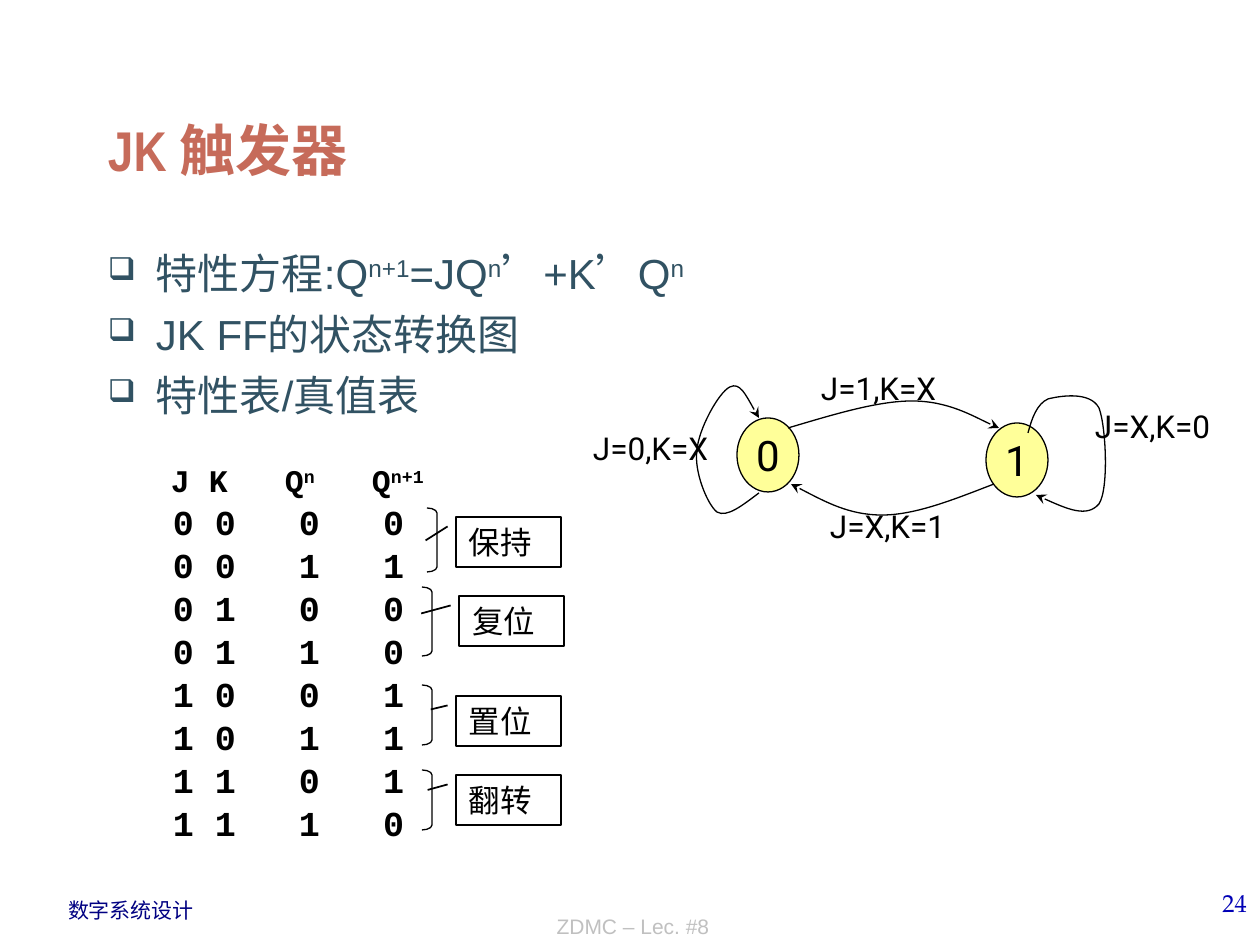
import pptx
import pptx.util
import pptx.dml.color
import pptx.enum.shapes
import pptx.enum.text
import lxml.etree

PX = 914400 / 126
KIND = pptx.enum.shapes.MSO_SHAPE
ALIGN = pptx.enum.text.PP_ALIGN
ANCHOR = pptx.enum.text.MSO_ANCHOR
NS = "http://schemas.openxmlformats.org/drawingml/2006/main"

TITLE = "JK 触发器"
POINTS = [
    [("特性方程:Q", {}), ("n+1", {"sup": True}), ("=JQ", {}), ("n", {"sup": True}),
     ("’", {"name": "Roboto"}), ("+K", {}), ("’", {"name": "Roboto"}),
     ("Q", {}), ("n", {"sup": True})],
    [("JK FF的状态转换图", {})],
    [("特性表/真值表", {})],
]
FOOTS = [
    ("数字系统设计", (55, 892, 170, 38), {"name": "Arial", "size": 12, "color": "000082"}, ALIGN.LEFT, ANCHOR.TOP),
    ("24", (998, 882, 262, 63), {"name": "TeX Gyre Pagella", "size": 14, "color": "0000B6"}, ALIGN.RIGHT, ANCHOR.TOP),
    ("ZDMC – Lec. #8", (326, 881, 614, 64), {"name": "Arial", "size": 12, "color": "C0C0C0"}, ALIGN.CENTER, ANCHOR.BOTTOM),
]
STATES = [("0", 737, 418), ("1", 986, 423)]
ARCS = [
    [(788, 428), (832, 415), (877, 401), (912, 401), (948, 401), (984, 422), (999, 428)],
    [(994, 484), (955, 499), (916, 515), (882, 515), (849, 515), (820, 499), (791, 484)],
    [(759, 493), (743, 505), (727, 518), (717, 512), (707, 504), (694, 471), (697, 451),
     (698, 430), (719, 392), (730, 387), (740, 382), (748, 399), (759, 418)],
    [(1028, 433), (1032, 418), (1037, 404), (1048, 399), (1060, 396), (1090, 391), (1099, 408),
     (1106, 426), (1109, 489), (1099, 504), (1087, 518), (1062, 507), (1036, 495)],
]
LABELS = [("J=1,K=X", 808, 363), ("J=X,K=1", 817, 501), ("J=X,K=0", 1082, 401), ("J=0,K=X", 580, 423)]
HEAD = [("\tJ\tK\tQ", {}), ("n", {"sup": True}), ("\tQ", {}), ("n+1", {"sup": True})]
ROWS = ["0000", "0011", "0100", "0110", "1001", "1011", "1101", "1110"]
HEADTABS, ROWTABS = (19, 57, 133, 220), (21, 63, 147, 231)
MODES = [
    ("保持", (456, 517), (0.19, -0.08, 0.47, -0.29), (427, 508, 64)),
    ("复位", (459, 596), (0.19, -0.08, 0.35, -0.36), (422, 587, 69)),
    ("置位", (456, 696), (0.19, -0.08, 0.27, -0.24), (422, 685, 60)),
    ("翻转", (456, 775), (0.19, -0.08, 0.3, -0.27), (422, 770, 60)),
]
BODY = {"name": "Arial", "size": 24, "color": "315263"}
CODE = {"name": "Courier New", "size": 20, "color": "000000", "bold": True}
NOTE = {"name": "Roboto", "size": 18, "color": "000000"}


def emu(*nums):
    return [round(n * PX) for n in nums]


def rgb(hue):
    return pptx.dml.color.RGBColor.from_string(hue)


def tag(root, name, **vals):
    return lxml.etree.SubElement(root, f"{{{NS}}}{name}", vals)


def write(para, runs, form):
    for text, more in runs:
        run = para.add_run()
        run.text = text
        for key, val in {**form, **more}.items():
            if key == "color":
                run.font.color.rgb = rgb(val)
            elif key == "sup":
                run._r.get_or_add_rPr().set("baseline", "30000")
            else:
                setattr(run.font, key, pptx.util.Pt(val) if key == "size" else val)


def frame(shape, pad=(13, 6), **vals):
    text = shape.text_frame
    side, top = emu(*pad)
    form = {"margin_left": side, "margin_right": side, "margin_top": top, "margin_bottom": top,
            "word_wrap": True, "vertical_anchor": ANCHOR.TOP, **vals}
    for key, val in form.items():
        setattr(text, key, val)
    return text


def style(shape, fill=None, width=0.75):
    shape.shadow.inherit = False
    if fill:
        shape.fill.solid()
        shape.fill.fore_color.rgb = rgb(fill)
    else:
        shape.fill.background()
    shape.line.color.rgb = rgb("000000")
    shape.line.width = pptx.util.Pt(width)


def box(slide, area, **vals):
    return frame(slide.shapes.add_textbox(*emu(*area)), **vals)


def lines(text, count):
    return [text.paragraphs[0]] + [text.add_paragraph() for _ in range(count - 1)]


def bullet(para):
    prop = para._p.get_or_add_pPr()
    hang = emu(48)[0]
    prop.set("marL", str(hang))
    prop.set("indent", str(-hang))
    tag(tag(prop, "buClr"), "srgbClr", val="315263")
    tag(prop, "buSzPct", val="75000")
    tag(prop, "buChar", char="❑")


def stops(para, spots):
    tabs = tag(para._p.get_or_add_pPr(), "tabLst")
    for spot in emu(*spots):
        tag(tabs, "tab", pos=str(spot), algn="l")


def arc(slide, spots):
    pen = slide.shapes.build_freeform(*spots[0], scale=PX)
    pen.add_line_segments(spots[1:], close=False)
    shape = pen.convert_to_shape()
    style(shape)
    legs = list(shape._element.iter(f"{{{NS}}}lnTo"))
    root = legs[0].getparent()
    for at in range(0, len(legs), 3):
        curve = tag(root, "cubicBezTo")
        for leg in legs[at:at + 3]:
            curve.append(leg[0])
            root.remove(leg)
    tag(shape.line._get_or_add_ln(), "tailEnd", type="stealth")


def main():
    deck = pptx.Presentation()
    deck.slide_width, deck.slide_height = emu(1260, 945)
    slide = deck.slides.add_slide(deck.slide_layouts[5])

    title = slide.shapes.title
    title.left, title.top, title.width, title.height = emu(95, 32, 1071, 157)
    para = frame(title, vertical_anchor=ANCHOR.BOTTOM).paragraphs[0]
    para.alignment = ALIGN.LEFT
    write(para, [(TITLE, {})], {"name": "Arial Narrow", "size": 32, "color": "C66B5A", "bold": True})

    for text, area, form, side, edge in FOOTS:
        para = box(slide, area, vertical_anchor=edge).paragraphs[0]
        para.alignment = side
        write(para, [(text, {})], form)

    text = box(slide, (95, 242, 1071, 567))
    for at, (para, runs) in enumerate(zip(lines(text, len(POINTS)), POINTS)):
        bullet(para)
        para.space_before = pptx.util.Pt(6 if at else 0)
        write(para, runs, BODY)

    for name, left, top in STATES:
        shape = slide.shapes.add_shape(KIND.OVAL, *emu(left, top, 62, 74))
        style(shape, "FFFF99")
        para = frame(shape, word_wrap=False, vertical_anchor=ANCHOR.MIDDLE).paragraphs[0]
        para.alignment = ALIGN.CENTER
        write(para, [(name, {})], {**NOTE, "size": 24})
    for spots in ARCS:
        arc(slide, spots)
    for name, left, top in LABELS:
        write(box(slide, (left, top, 178, 50)).paragraphs[0], [(name, {})], NOTE)

    text = box(slide, (149, 452, 436, 421), pad=(3, 4))
    table = [(HEAD, HEADTABS, {**CODE, "size": 18})]
    table += [([("\t" + "\t".join(row), {})], ROWTABS, CODE) for row in ROWS]
    for para, (runs, spots, form) in zip(lines(text, len(table)), table):
        stops(para, spots)
        para.line_spacing = pptx.util.Pt(24.6)
        write(para, runs, form)

    for name, spot, bends, (left, top, tall) in MODES:
        brace = slide.shapes.add_shape(KIND.RIGHT_BRACKET, *emu(left, top, 10, tall))
        style(brace)
        brace.adjustments[0] = 0.5
        call = slide.shapes.add_shape(KIND.LINE_CALLOUT_1, *emu(*spot, 105, 50))
        style(call, width=1)
        for at, bend in enumerate(bends):
            call.adjustments[at] = bend
        para = frame(call).paragraphs[0]
        para.alignment = ALIGN.LEFT
        write(para, [(name, {})], {**NOTE, "name": "Comic Neue"})

    deck.save("out.pptx")


if __name__ == "__main__":
    main()
